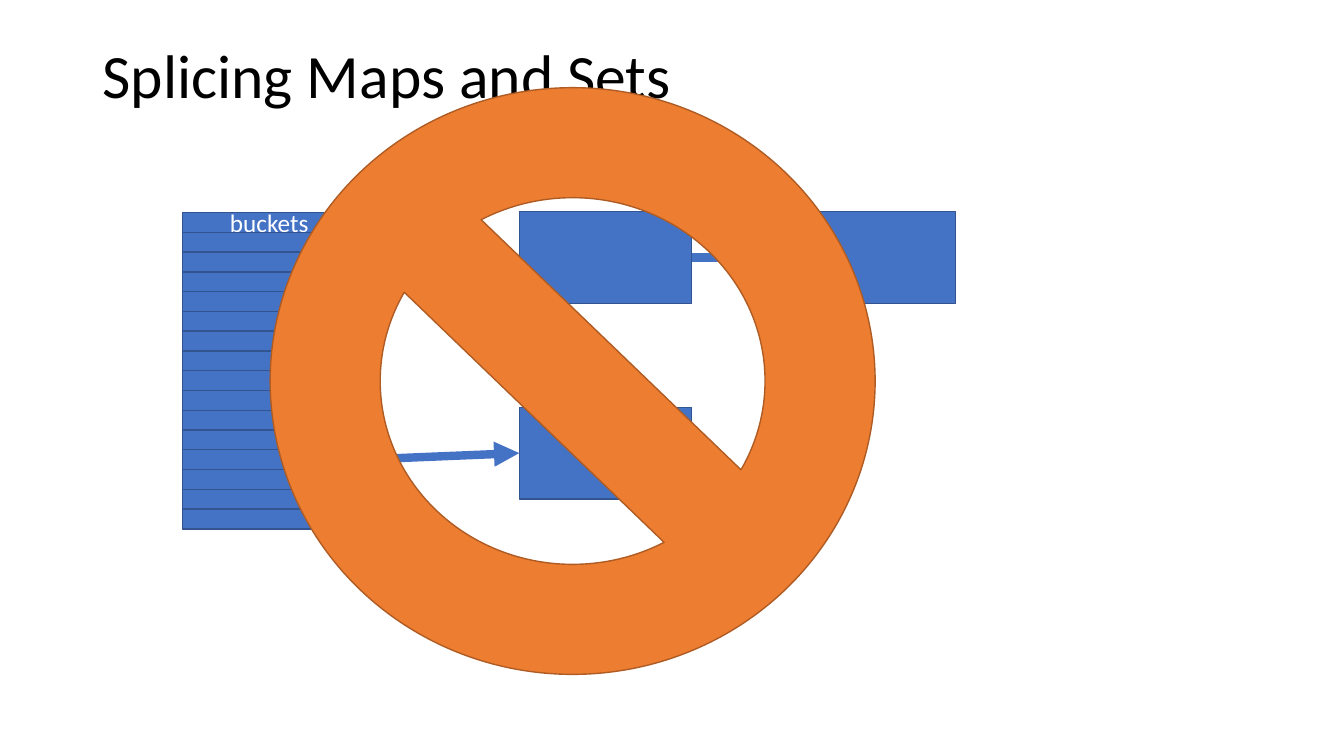
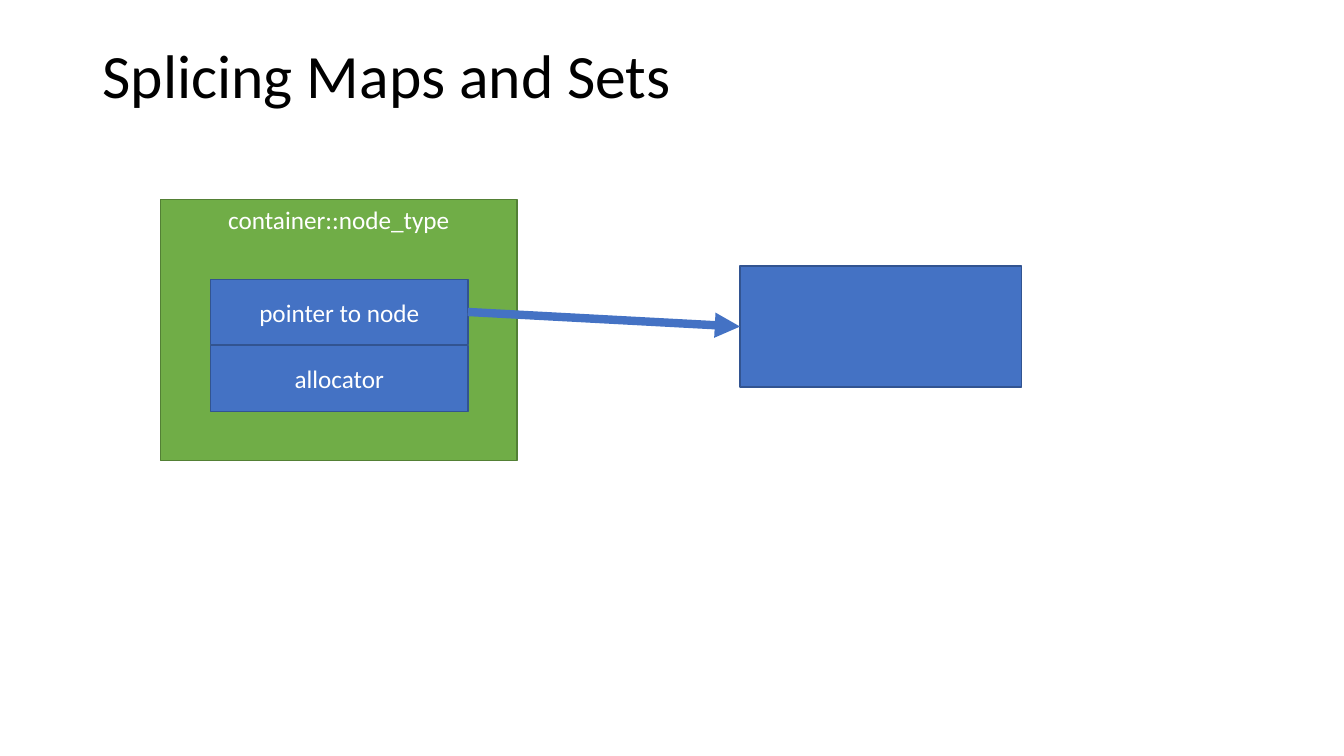
from pptx import Presentation
from pptx.dml.color import RGBColor
from pptx.enum import shapes, text
from pptx.oxml import ns, xmlchemy
from pptx.util import Inches, Pt

FONT = "Calibri"
BLACK, WHITE = "000000", "FFFFFF"
BLUE = ("4472C4", "325491")
GREEN = ("70AD47", "538035")
ORANGE = ("ED7D31", "AF5C24")
RECT = shapes.MSO_SHAPE.RECTANGLE
NO_SIGN = shapes.MSO_SHAPE.NO_SYMBOL
TOP, MIDDLE = text.MSO_ANCHOR.TOP, text.MSO_ANCHOR.MIDDLE
RIGHT, LEFT = 3, 1
BUCKETS = 16
NODE = (1.71, 0.91)


def color(code):
    """Turn a hex string into a colour."""
    return RGBColor.from_string(code)


def write(shape, words, size, ink, anchor):
    """Put one styled paragraph in a shape and return it."""
    frame = shape.text_frame
    frame.word_wrap = True
    frame.vertical_anchor = anchor
    para = frame.paragraphs[0]
    para.text = words
    para.font.name = FONT
    para.font.size = Pt(size)
    para.font.color.rgb = color(ink)
    return para


def add_slide(deck, title):
    """Add a blank slide with the shared title."""
    slide = deck.slides.add_slide(deck.slide_layouts[6])
    box = slide.shapes.add_textbox(
        Inches(0.92), Inches(0.4), Inches(11.5), Inches(1.45))
    write(box, title, 44, BLACK, TOP).line_spacing = 0.9
    return slide


def add_box(slide, x, y, w, h, words="", look=BLUE, kind=RECT, anchor=MIDDLE):
    """Add a filled, outlined shape with an optional label."""
    box = slide.shapes.add_shape(
        kind, Inches(x), Inches(y), Inches(w), Inches(h))
    fill, edge = look
    box.shadow.inherit = False
    box.fill.solid()
    box.fill.fore_color.rgb = color(fill)
    box.line.color.rgb = color(edge)
    box.line.width = Pt(1)
    if words:
        para = write(box, words, 18, WHITE, anchor)
        para.alignment = text.PP_ALIGN.CENTER
    return box


def add_arrow(slide, start, end):
    """Point from the right side of one box to the left of another."""
    arrow = slide.shapes.add_connector(
        shapes.MSO_CONNECTOR.STRAIGHT, 0, 0, 0, 0)
    arrow.begin_connect(start, RIGHT)
    arrow.end_connect(end, LEFT)
    arrow.line.color.rgb = color(BLUE[0])
    arrow.line.width = Pt(6)
    head = xmlchemy.OxmlElement("a:tailEnd")
    head.set("type", "triangle")
    props = arrow._element.spPr
    props.find(ns.qn("a:ln")).append(head)
    props.append(xmlchemy.OxmlElement("a:effectLst"))


def draw_table(deck, title):
    """Draw the hash table with its nodes, crossed out."""
    slide = add_slide(deck, title)
    first, last = 2.11, 5.05
    step = (last - first) / (BUCKETS - 1)
    rows = [add_box(slide, 1.81, first + i * step, 1.72, 0.2,
                    "" if i else "buckets")
            for i in range(BUCKETS)]
    upper, after, lower = [
        add_box(slide, x, y, *NODE)
        for x, y in ((5.15, 2.1), (7.77, 2.1), (5.15, 4.04))]
    for start, end in ((rows[3], upper), (rows[12], lower), (upper, after)):
        add_arrow(slide, start, end)
    add_box(slide, 2.68, 0.87, 6, 5.82, look=ORANGE, kind=NO_SIGN)


def draw_handle(deck, title):
    """Draw the node handle and the node it points to."""
    slide = add_slide(deck, title)
    add_box(slide, 1.59, 1.98, 3.54, 2.59, "container::node_type",
            GREEN, anchor=TOP)
    field, _ = [
        add_box(slide, 2.09, 2.77 + i * 0.66, 2.55, 0.65, words)
        for i, words in enumerate(("pointer to node", "allocator"))]
    node = add_box(slide, 7.34, 2.64, 2.79, 1.2)
    add_arrow(slide, field, node)


def main():
    """Build and save the deck."""
    deck = Presentation()
    deck.slide_width = Inches(13.33)
    deck.slide_height = Inches(7.5)
    title = "Splicing Maps and Sets"
    draw_table(deck, title)
    draw_handle(deck, title)
    deck.save("out.pptx")


if __name__ == "__main__":
    main()
